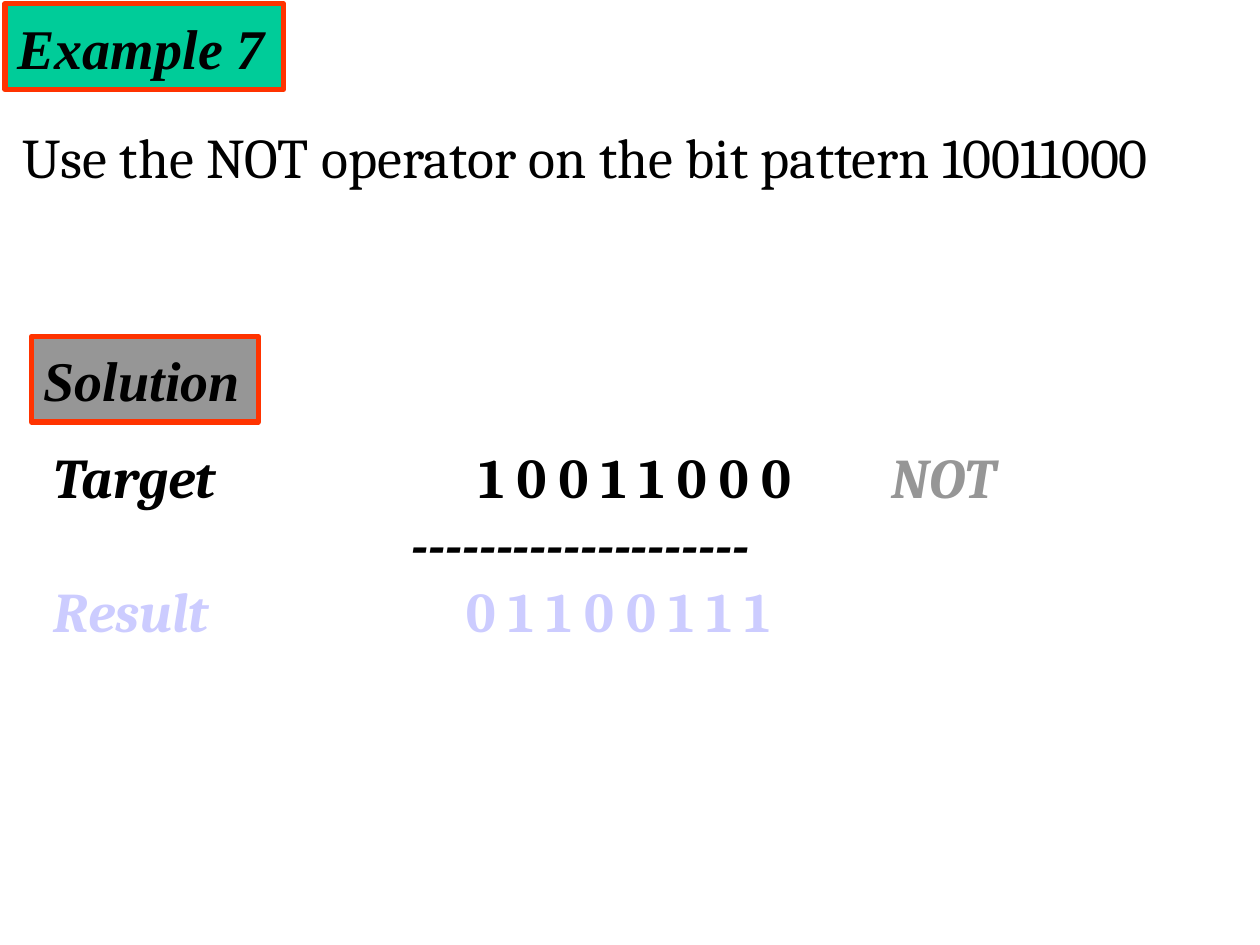
"""Build a slide that works through the NOT operator on a bit pattern."""
from lxml.etree import SubElement
from pptx import Presentation
from pptx.dml.color import RGBColor
from pptx.enum.shapes import MSO_SHAPE
from pptx.enum.text import MSO_ANCHOR, MSO_AUTO_SIZE, PP_ALIGN
from pptx.oxml.ns import qn
from pptx.util import Inches, Pt

COLORS = {
    "ink": "000000",
    "green": "00CC99",
    "gray": "969696",
    "red": "FF3300",
    "lavender": "CCCCFF",
}


class SlideBuilder:
    def __init__(self, page):
        self.page = page
        self.size = Pt(32)
        self.label_font = "Times New Roman"
        self.text_font = "Cambria"

    def color(self, name):
        return RGBColor.from_string(COLORS[name])

    def span(self, para, text, font, color="ink", bold=True, italic=True):
        span = para.add_run()
        span.text = text
        values = {"name": font, "size": self.size, "bold": bold, "italic": italic}
        for name, value in values.items():
            setattr(span.font, name, value)
        span.font.color.rgb = self.color(color)

    def label(self, box, text, fill, left, top, width, height):
        place = {"left": left, "top": top, "width": width, "height": height}
        for name, value in place.items():
            setattr(box, name, Inches(value))
        box.fill.solid()
        box.fill.fore_color.rgb = self.color(fill)
        box.line.color.rgb = self.color("red")
        box.line.width = Pt(3)
        frame = box.text_frame
        values = {
            "word_wrap": False,
            "auto_size": MSO_AUTO_SIZE.NONE,
            "vertical_anchor": MSO_ANCHOR.MIDDLE,
        }
        for name, value in values.items():
            setattr(frame, name, value)
        para = frame.paragraphs[0]
        para.alignment = PP_ALIGN.LEFT
        self.span(para, text, self.label_font)

    def title(self, text, fill, *place):
        self.label(self.page.shapes.title, text, fill, *place)

    def heading(self, text, fill, *place):
        lengths = [Inches(value) for value in place]
        box = self.page.shapes.add_shape(MSO_SHAPE.RECTANGLE, *lengths)
        box.shadow.inherit = False
        self.label(box, text, fill, *place)

    def text(self, *place):
        lengths = [Inches(value) for value in place]
        frame = self.page.shapes.add_textbox(*lengths).text_frame
        frame.word_wrap = True
        return frame

    def statement(self, text, *place):
        para = self.text(*place).paragraphs[0]
        self.span(para, text, self.text_font, bold=False, italic=False)

    def working(self, rows, *place):
        frame = self.text(*place)
        for index, (stops, spans) in enumerate(rows):
            para = frame.paragraphs[0] if index == 0 else frame.add_paragraph()
            tabs = SubElement(para._p.get_or_add_pPr(), qn("a:tabLst"))
            for stop in stops:
                SubElement(tabs, qn("a:tab"), pos=str(Inches(stop)), algn="l")
            for text, color, italic in spans:
                self.span(para, text, self.text_font, color, italic=italic)


def main():
    deck = Presentation()
    deck.slide_width, deck.slide_height = Inches(10), Inches(7.5)
    builder = SlideBuilder(deck.slides.add_slide(deck.slide_layouts[5]))
    builder.title("Example 7", "green", 0.04, 0.03, 2.21, 0.68)
    builder.statement(
        "Use the NOT operator on the bit pattern 10011000", 0.08, 0.92, 9.25, 0.63
    )
    builder.heading("Solution", "gray", 0.25, 2.67, 1.8, 0.68)
    rows = [
        ([3.37, 6.65], [
            ("Target\t", "ink", True),
            ("1 0 0 1 1 0 0 0\t", "ink", False),
            ("NOT", "gray", True),
        ]),
        ([2.84], [("\t" + "-" * 20, "ink", True)]),
        ([3.27], [
            ("Result\t", "lavender", True),
            ("0 1 1 0 0 1 1 1", "lavender", False),
        ]),
    ]
    builder.working(rows, 0.33, 3.46, 9.17, 1.72)
    deck.save("out.pptx")


if __name__ == "__main__":
    main()
